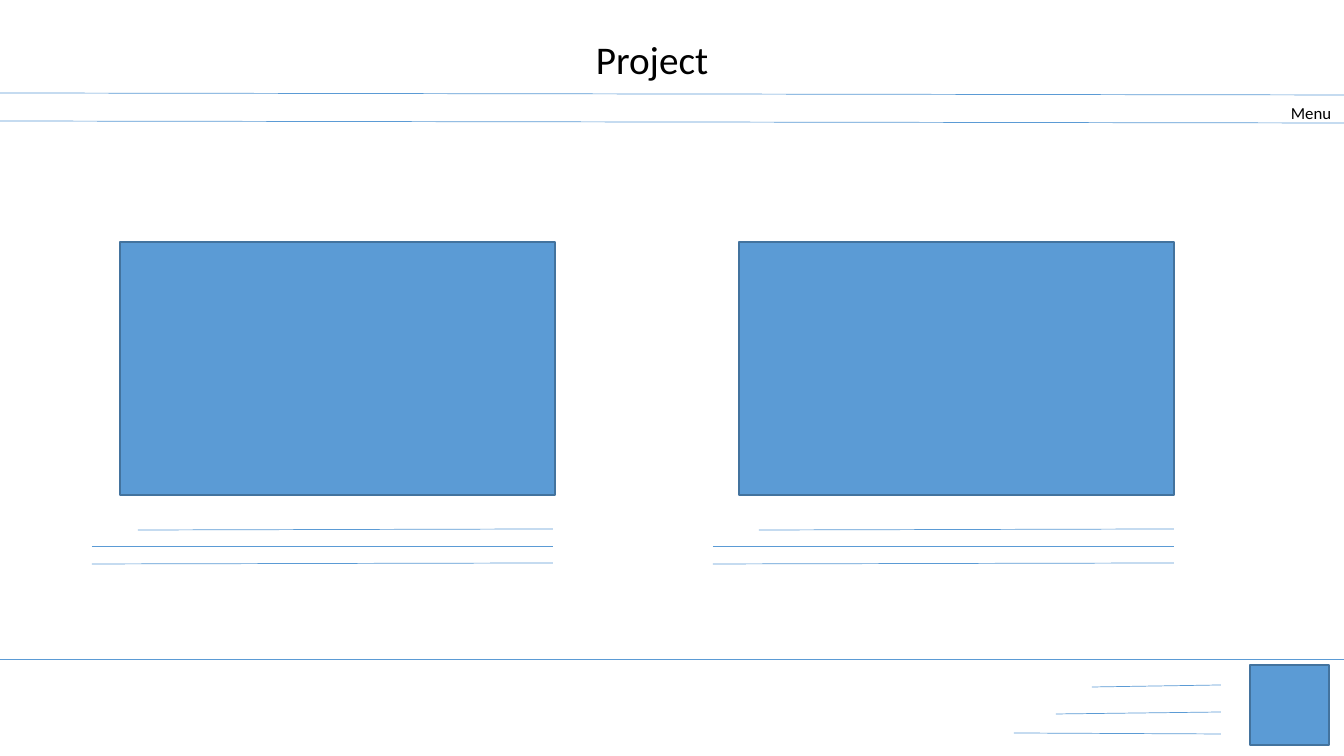
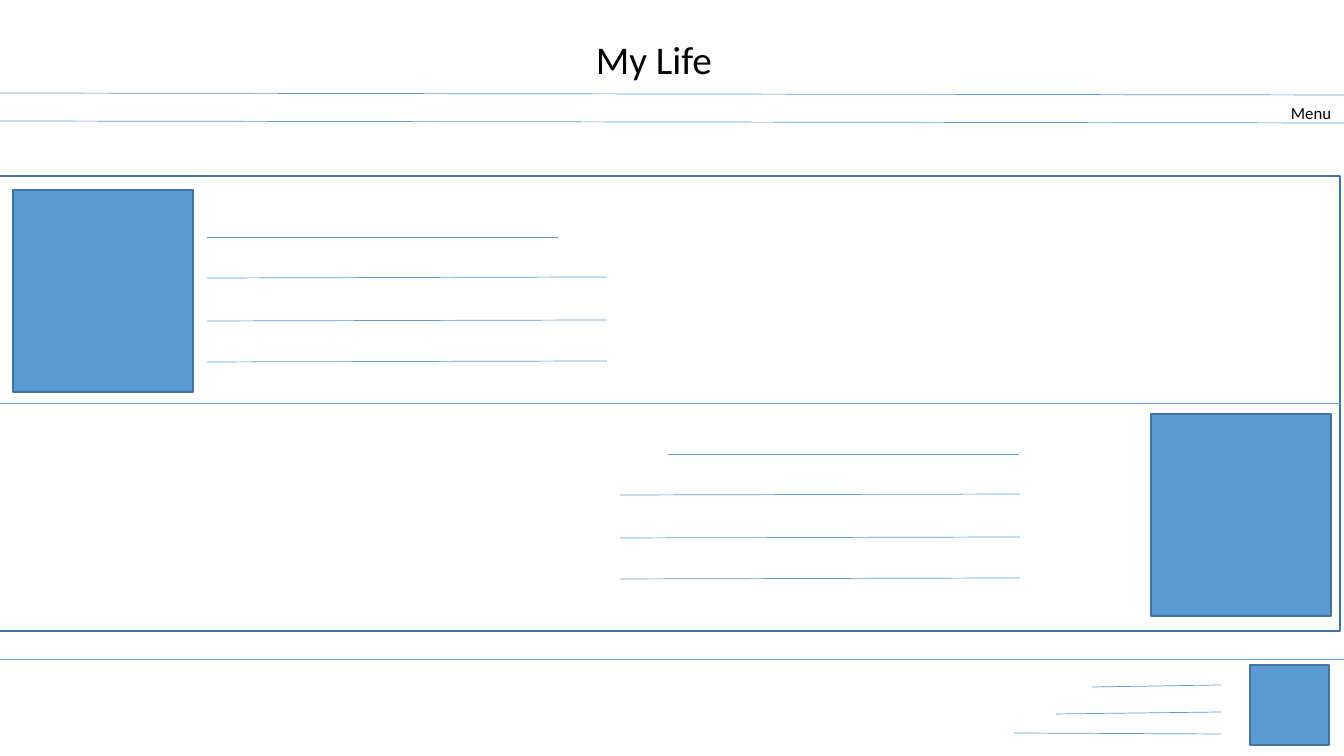
from dataclasses import dataclass

from lxml.etree import SubElement
from pptx import Presentation
from pptx.dml.color import RGBColor
from pptx.enum.shapes import MSO_CONNECTOR, MSO_SHAPE
from pptx.enum.text import MSO_AUTO_SIZE
from pptx.oxml.ns import qn
from pptx.slide import Slide
from pptx.util import Pt

SCALE = 914400 / 100.8
WIDE, HIGH = 1344, 756
FONT = "Calibri"
COLORS = {"fill": "5B9BD5", "edge": "43739E", "text": "000000"}


@dataclass(frozen=True)
class Box:
    """A rectangle in pixels."""
    left: int
    top: int
    width: int
    height: int
    filled: bool = True


@dataclass(frozen=True)
class Rule:
    """A thin line in pixels."""
    x1: int
    y1: int
    x2: int
    y2: int


@dataclass(frozen=True)
class Label:
    """A line of text with its place and size."""
    text: str
    left: int
    top: int
    width: int
    height: int
    size: int
    wrap: bool


HEAD = [Rule(0, y, WIDE, y + 2) for y in (93, 121)]
FOOT = [
    Rule(0, 659, WIDE, 659),
    Rule(1092, 687, 1221, 685),
    Rule(1056, 714, 1221, 712),
    Rule(1014, 733, 1221, 734),
]
BADGE = Box(1250, 665, 79, 80)
MENU = Label("Menu", 1281, 98, 62, 30, 12, True)


def emu(px: int) -> int:
    """Turn pixels into EMU."""
    return round(px * SCALE)


def color(name: str) -> RGBColor:
    """Look up a shared colour."""
    return RGBColor.from_string(COLORS[name])


def add_box(slide: Slide, box: Box) -> None:
    """Draw a rectangle."""
    spot = map(emu, (box.left, box.top, box.width, box.height))
    shape = slide.shapes.add_shape(MSO_SHAPE.RECTANGLE, *spot)
    shape.shadow.inherit = False
    if box.filled:
        shape.fill.solid()
        shape.fill.fore_color.rgb = color("fill")
    else:
        shape.fill.background()
    shape.line.color.rgb = color("edge")
    shape.line.width = Pt(1)


def add_rules(slide: Slide, rules: list[Rule]) -> None:
    """Draw thin lines without shadows."""
    for rule in rules:
        ends = map(emu, (rule.x1, rule.y1, rule.x2, rule.y2))
        line = slide.shapes.add_connector(MSO_CONNECTOR.STRAIGHT, *ends)
        line.line.color.rgb = color("fill")
        line.line.width = Pt(0.5)
        SubElement(line.element.spPr, qn("a:effectLst"))


def add_label(slide: Slide, label: Label) -> None:
    """Write a text box."""
    spot = map(emu, (label.left, label.top, label.width, label.height))
    frame = slide.shapes.add_textbox(*spot).text_frame
    frame.word_wrap = label.wrap
    frame.auto_size = MSO_AUTO_SIZE.SHAPE_TO_FIT_TEXT
    frame.text = label.text
    font = frame.paragraphs[0].runs[0].font
    font.name = FONT
    font.size = Pt(label.size)
    font.color.rgb = color("text")


def add_page(deck: Presentation, title: str, width: int) -> Slide:
    """Start a slide with the shared header and footer."""
    slide = deck.slides.add_slide(deck.slide_layouts[6])
    add_rules(slide, HEAD + FOOT)
    add_box(slide, BADGE)
    add_label(slide, Label(title, 586, 30, width, 58, 28, False))
    add_label(slide, MENU)
    return slide


def add_card(slide: Slide, left: int, edge: int) -> None:
    """Draw a project panel over its three caption lines."""
    add_box(slide, Box(left, 242, 435, 253))
    end = edge + 461
    add_rules(slide, [
        Rule(edge + 46, 530, end, 529),
        Rule(edge, 546, end, 546),
        Rule(edge, 564, end, 563),
    ])


def add_story(slide: Slide, box: Box, left: int, top: int, indent: int) -> None:
    """Draw a portrait box and four text lines."""
    add_box(slide, box)
    start = left + indent
    first = Rule(start, top, start + 351, top)
    rest = [Rule(left, top + gap, left + 400, top + gap - 1)
            for gap in (41, 84, 125)]
    add_rules(slide, [first, *rest])


def build() -> None:
    """Build both slides and save them."""
    deck = Presentation()
    deck.slide_width, deck.slide_height = emu(WIDE), emu(HIGH)

    project = add_page(deck, "Project", 134)
    for left, edge in ((120, 92), (739, 713)):
        add_card(project, left, edge)

    life = add_page(deck, "My Life", 137)
    add_box(life, Box(-4, 176, WIDE, 455, filled=False))
    add_rules(life, [Rule(-4, 403, 1340, 403)])
    add_story(life, Box(13, 190, 180, 202), 207, 237, 0)
    add_story(life, Box(1151, 414, 180, 202), 620, 454, 48)

    deck.save("out.pptx")


build()
